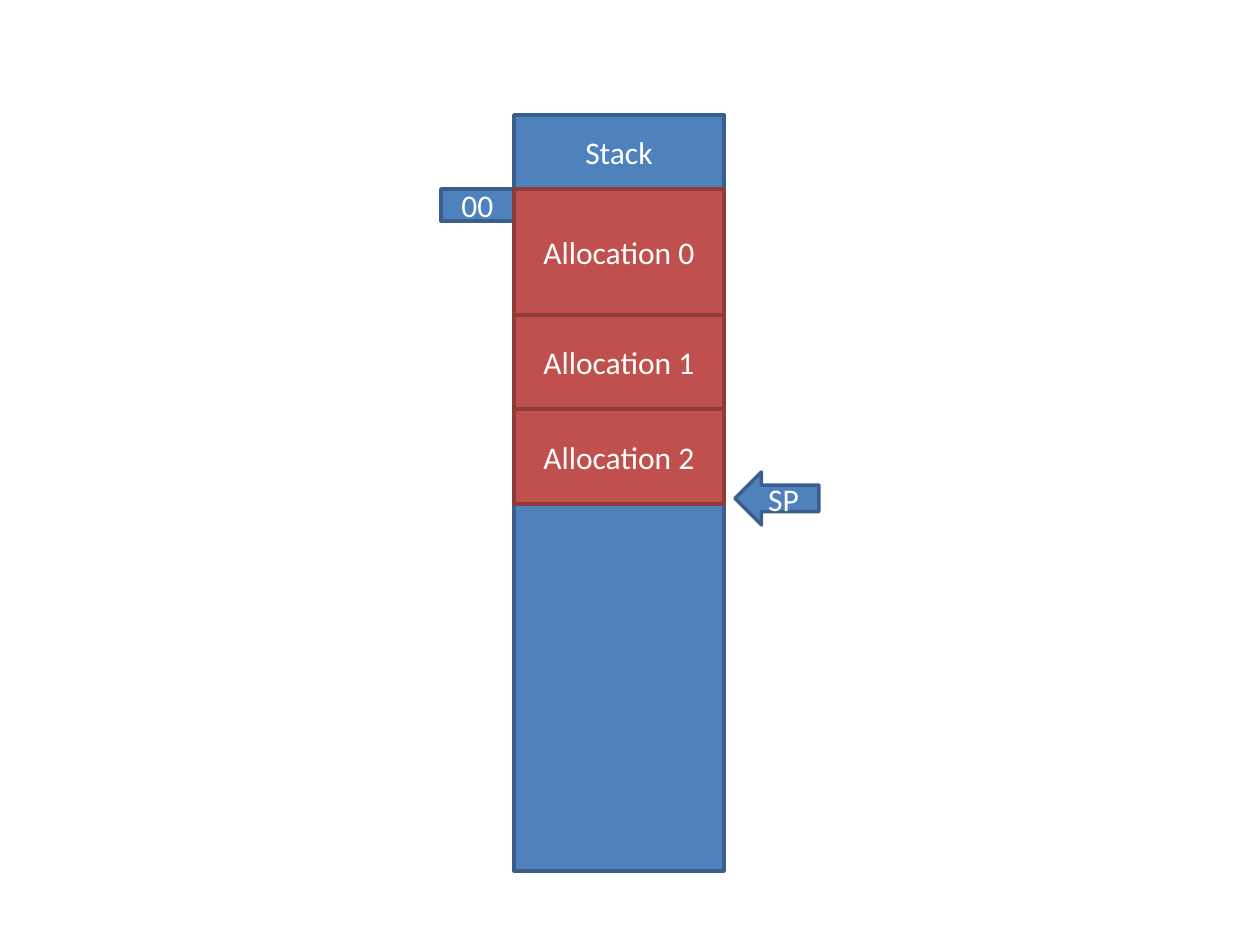
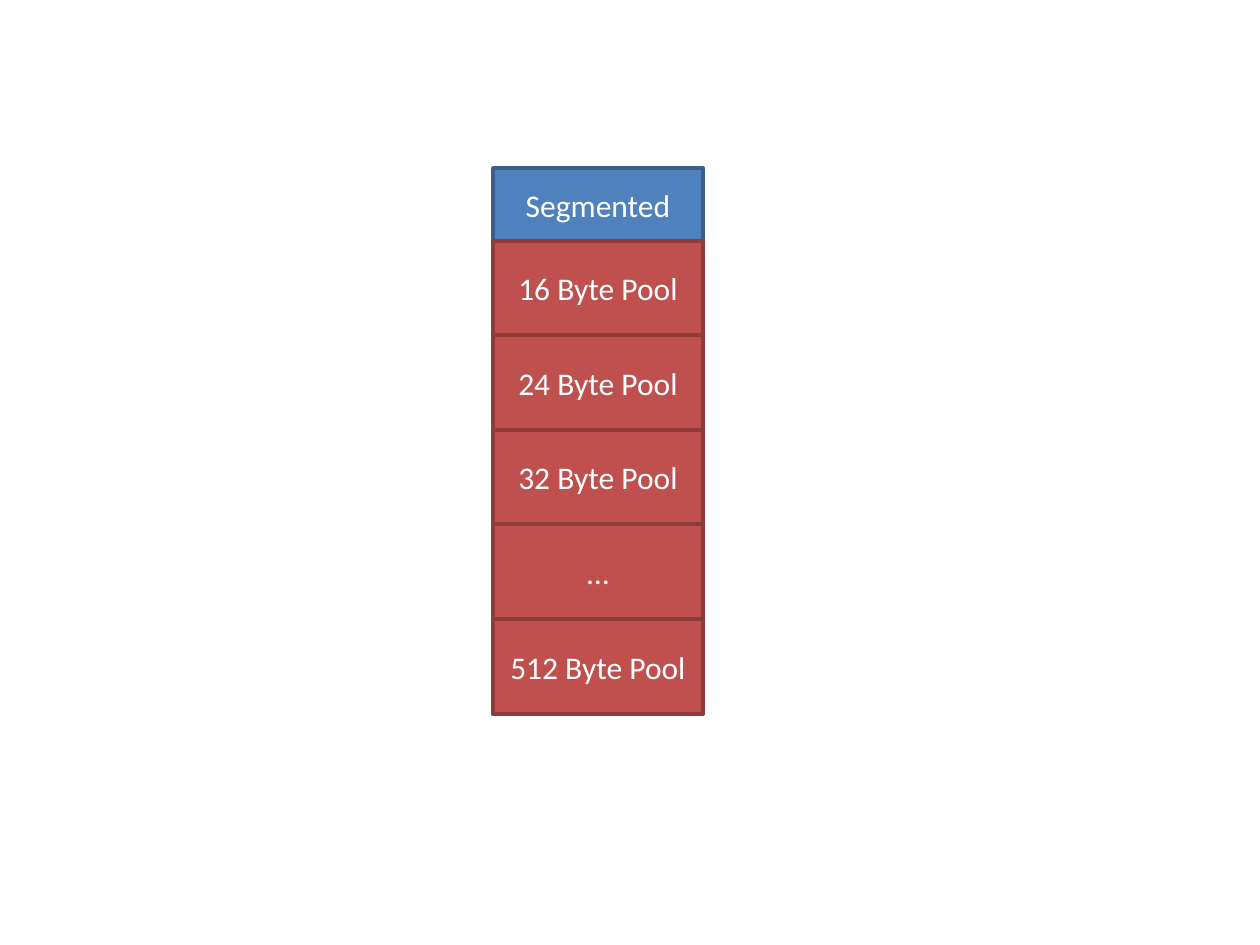
from dataclasses import dataclass

from pptx import Presentation
from pptx.dml.color import RGBColor
from pptx.enum.shapes import MSO_SHAPE
from pptx.enum.text import MSO_ANCHOR, PP_ALIGN
from pptx.util import Pt

RECT, LEFT_ARROW = MSO_SHAPE.RECTANGLE, MSO_SHAPE.LEFT_ARROW
MIDDLE, CENTER = MSO_ANCHOR.MIDDLE, PP_ALIGN.CENTER
PX = 914400 // 126  # EMU in one pixel
COLUMN_W = 210


@dataclass(frozen=True)
class Theme:
    """Colours as (fill, line) pairs, and type."""
    memory: tuple = ("4F81BD", "3A5F8C")
    block: tuple = ("C0504D", "8E3B39")
    text: str = "FFFFFF"
    font: str = "Calibri"
    size: int = 18
    line: int = 2


theme = Theme()


def add_box(s, x, y, w, h, colors, text="", kind=RECT):
    """Add a filled, outlined shape with an optional centred label."""
    sp = s.shapes.add_shape(kind, x * PX, y * PX, w * PX, h * PX)
    sp.shadow.inherit = False
    fill, line = colors
    sp.fill.solid()
    sp.fill.fore_color.rgb = RGBColor.from_string(fill)
    sp.line.color.rgb = RGBColor.from_string(line)
    sp.line.width = Pt(theme.line)
    if text:
        tf = sp.text_frame
        tf.text = text
        tf.vertical_anchor = MIDDLE
        p = tf.paragraphs[0]
        p.alignment = CENTER
        font = p.runs[0].font
        font.name = theme.font
        font.size = Pt(theme.size)
        font.color.rgb = RGBColor.from_string(theme.text)


def add_column(s, x, top, bottom, title, edges, labels):
    """Add a titled memory column whose blocks lie between the edges."""
    start = edges[0]
    add_box(s, x, start, COLUMN_W, bottom - start, theme.memory)
    add_box(s, x, top, COLUMN_W, start - top, theme.memory, title)
    for y, end, label in zip(edges, edges[1:], labels):
        add_box(s, x, y, COLUMN_W, end - y, theme.block, label)


prs = Presentation()
prs.slide_width, prs.slide_height = 1260 * PX, 945 * PX
blank = prs.slide_layouts[6]

# Slide 1: stack allocator with its base address and stack pointer
s = prs.slides.add_slide(blank)
add_box(s, 441, 189, 73, 32, theme.memory, "00")
add_column(s, 514, 115, 871, "Stack", [189, 315, 409, 504],
           [f"Allocation {i}" for i in range(3)])
add_box(s, 735, 472, 84, 53, theme.memory, "SP", LEFT_ARROW)

# Slide 2: segmented allocator with equal pools
s = prs.slides.add_slide(blank)
pools = ["16 Byte Pool", "24 Byte Pool", "32 Byte Pool", "…", "512 Byte Pool"]
top, bottom = 241, 714
edges = [top + (bottom - top) * i // len(pools) for i in range(len(pools) + 1)]
add_column(s, 493, 168, bottom, "Segmented", edges, pools)

prs.save("out.pptx")
